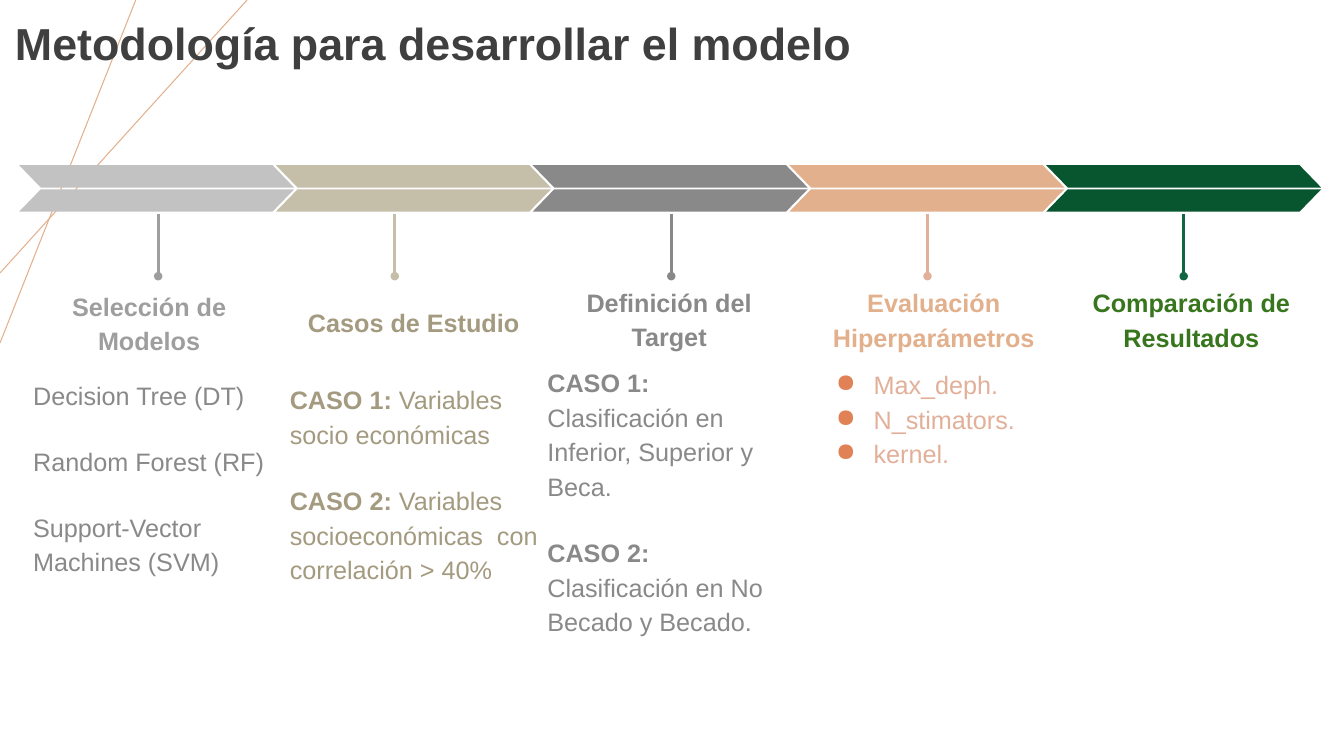
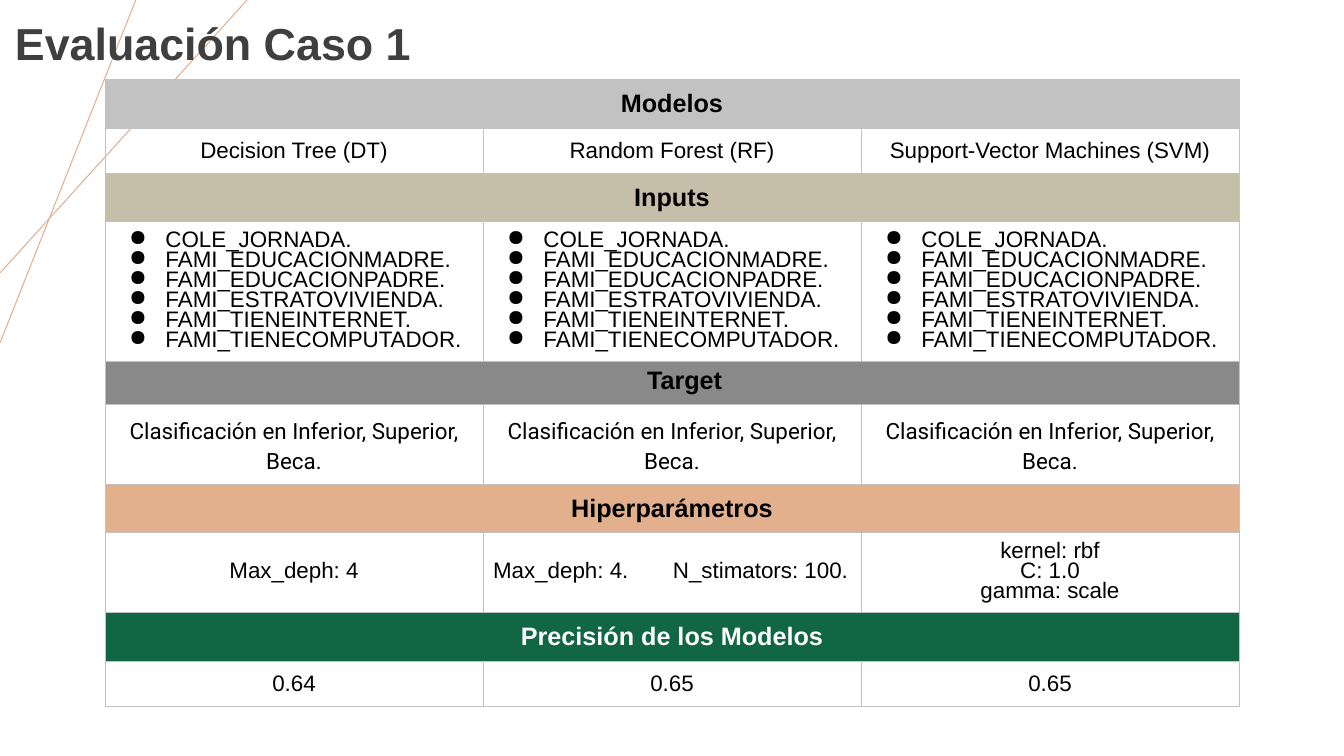
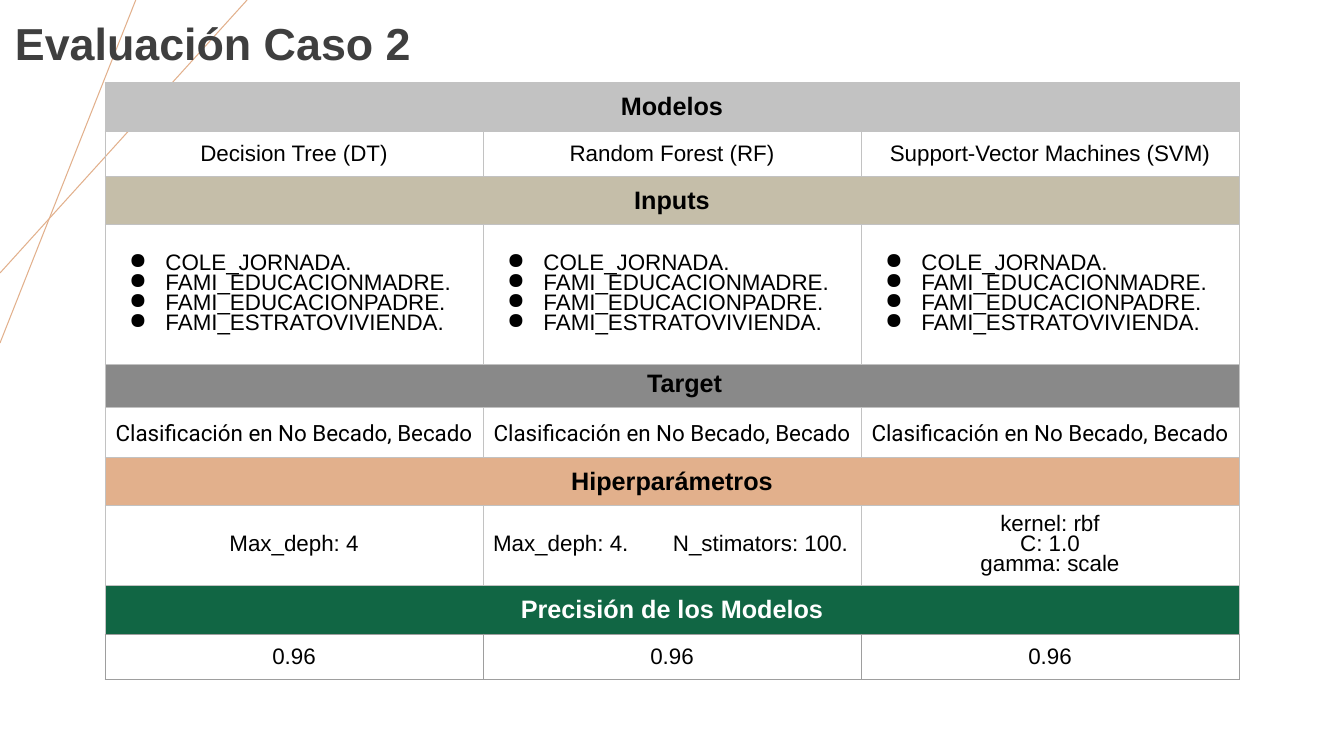
from lxml import etree
from pptx import Presentation
from pptx.dml.color import RGBColor as RGB
from pptx.enum.shapes import MSO_CONNECTOR as LINK, MSO_SHAPE as SHAPE
from pptx.enum.text import MSO_ANCHOR as ANCHOR, PP_ALIGN as ALIGN
from pptx.oxml.ns import qn
from pptx.util import Pt

INK = {
    "title": "3F3F3F", "black": "000000", "white": "FFFFFF", "silver": "C2C2C2",
    "ash": "9E9E9E", "gray": "898989", "sand": "C5BEA9", "olive": "A39A7F",
    "peach": "E2B08C", "rose": "E2B099", "orange": "E08256",
    "forest": "085630", "green": "116644", "leaf": "38761D",
}
FONT = "Arial"
RAYS = [((97, 0), (0, 245)), ((176.5, 0), (0, 195))]

# A paragraph is a string, or a (bold, plain) pair. Boxes are left, top, width, height.
STEPS = [
    {"name": "Selección de Modelos", "box": (28, 204.5, 157, 50),
     "arrow": "silver", "pin": ("ash", 113), "head": "ash", "ink": "gray",
     "body": (13.7, 258.5, 196.5, 194), "gap": 22.1,
     "text": ["Decision Tree (DT)", "Random Forest (RF)",
              "Support-Vector Machines (SVM)"]},
    {"name": "Casos de Estudio", "box": (197, 201.5, 197, 54),
     "arrow": "sand", "pin": ("sand", 282), "head": "olive", "ink": "olive",
     "body": (197, 261.5, 205, 192), "gap": 22.1,
     "text": [("CASO 1:", " Variables socio económicas"),
              ("CASO 2:", " Variables socioeconómicas  con correlación > 40%")]},
    {"name": "Definición del Target", "box": (397.5, 201.5, 161, 50),
     "arrow": "gray", "pin": ("gray", 479.5), "head": "gray", "ink": "gray",
     "body": (381, 249, 196.5, 218), "gap": 22.1,
     "text": [("CASO 1:", " Clasificación en Inferior, Superior y Beca."),
              ("CASO 2:", " Clasificación en No Becado y Becado.")]},
    {"name": "Evaluación Hiperparámetros", "box": (564.5, 200, 205, 54),
     "arrow": "peach", "pin": ("rose", 662.5), "head": "peach", "ink": "rose",
     "body": (578, 250.5, 176.5, 103), "gap": 0, "bullet": ("orange", 27),
     "text": ["Max_deph.", "N_stimators.", "kernel."]},
    {"name": "Comparación de Resultados", "box": (760.5, 200, 181, 54),
     "arrow": "forest", "pin": ("green", 845.5), "head": "leaf", "ink": "leaf",
     "text": []},
]

BANDS = [("Modelos", "silver"), ("Inputs", "sand"), ("Target", "gray"),
         ("Hiperparámetros", "peach"), ("Precisión de los Modelos", "green")]
MODELS = ["Decision Tree (DT)", "Random Forest (RF)", "Support-Vector Machines (SVM)"]
TUNING = ["Max_deph: 4", "Max_deph: 4.\tN_stimators: 100.",
          "kernel: rbf\nC: 1.0\ngamma: scale"]
INPUTS = ["COLE_JORNADA.", "FAMI_EDUCACIONMADRE.", "FAMI_EDUCACIONPADRE.",
          "FAMI_ESTRATOVIVIENDA.", "FAMI_TIENEINTERNET.", "FAMI_TIENECOMPUTADOR."]
CASES = [
    {"title": "Evaluación Caso 1", "top": 57, "inputs": INPUTS,
     "target": "Clasificación en Inferior, Superior, Beca.",
     "score": ["0.64", "0.65", "0.65"], "edge": "silver"},
    {"title": "Evaluación Caso 2", "top": 59, "inputs": INPUTS[:4],
     "target": "Clasificación en No Becado, Becado",
     "score": ["0.96"] * 3, "edge": "ash"},
]


def rgb(name):
    return RGB.from_string(INK[name])


def sub(node, tag, **attrs):
    return etree.SubElement(node, qn(tag), attrs)


def style(para, size, ink, bold=False, font=FONT, align=ALIGN.LEFT, space=None):
    para.alignment = align
    if space:
        para.line_spacing = space
    for run in para.runs:
        run.font.size, run.font.name, run.font.bold = Pt(size), font, bold
        run.font.color.rgb = rgb(ink)


def indent(para, left, hang):
    props = para._p.get_or_add_pPr()
    props.set("marL", str(Pt(left)))
    props.set("indent", str(-Pt(hang)))
    return props


def bullet(para, ink, hang):
    props = indent(para, 36, hang)
    sub(sub(props, "a:buClr"), "a:srgbClr", val=INK[ink])
    sub(props, "a:buChar", char="●")


def tab(para, pos):
    stops = sub(para._p.get_or_add_pPr(), "a:tabLst")
    sub(stops, "a:tab", pos=str(Pt(pos)), algn="l")


def inset(item, side, end):
    item.margin_left = item.margin_right = Pt(side)
    item.margin_top = item.margin_bottom = Pt(end)


def textbox(slide, box, side, end, anchor=ANCHOR.MIDDLE):
    frame = slide.shapes.add_textbox(*map(Pt, box)).text_frame
    frame.word_wrap, frame.vertical_anchor = True, anchor
    inset(frame, side, end)
    return frame


def line(slide, start, end, ink, width):
    link = slide.shapes.add_connector(LINK.STRAIGHT, *map(Pt, start + end))
    link.line.color.rgb, link.line.width = rgb(ink), Pt(width)
    sub(link._element.spPr, "a:effectLst")
    return link


def start(deck):
    slide = deck.slides.add_slide(deck.slide_layouts[6])
    for ray in RAYS:
        line(slide, *ray, "peach", 0.75)
    return slide


def title(slide, text):
    frame = textbox(slide, (3.6, 5.8, 625, 54), 7.2, 3.6)
    frame.text = text
    style(frame.paragraphs[0], 32, "title", True, space=0.9)


def arrow(slide, left, ink):
    """Two mirrored parallelograms form one chevron."""
    for top, flip in ((118, "1"), (135.2, "0")):
        half = slide.shapes.add_shape(
            SHAPE.PARALLELOGRAM, Pt(left), Pt(top), Pt(196.5), Pt(16))
        half.adjustments[0] = 0.97
        half.shadow.inherit = False
        half.fill.solid()
        half.fill.fore_color.rgb = rgb(ink)
        half.line.fill.background()
        half._element.spPr.find(qn("a:xfrm")).set("flipH", flip)


def pin(slide, ink, x):
    link = line(slide, (x, 197.3), (x, 152.6), ink, 2)
    sub(link.line._get_or_add_ln(), "a:headEnd", type="oval")


def body(slide, step):
    frame = textbox(slide, step["body"], 10, 10, ANCHOR.TOP)
    for i, text in enumerate(step["text"]):
        para = frame.add_paragraph() if i else frame.paragraphs[0]
        strong, plain = text if isinstance(text, tuple) else ("", text)
        if "bullet" in step:
            bullet(para, *step["bullet"])
        for part in filter(None, (strong, plain)):
            para.add_run().text = part
        style(para, 18, step["ink"], space=1.15)
        if strong:
            para.runs[0].font.bold = True
        if i and step["gap"]:
            para.space_before = Pt(step["gap"])


def method(deck):
    slide = start(deck)
    title(slide, "Metodología para desarrollar el modelo")
    for i, step in enumerate(STEPS):
        arrow(slide, 13.7 + 183.4 * i, step["arrow"])
        pin(slide, *step["pin"])
        frame = textbox(slide, step["box"], 10, 10)
        frame.text = step["name"]
        style(frame.paragraphs[0], 18, step["head"], True,
              align=ALIGN.CENTER, space=1.15)
        if step["text"]:
            body(slide, step)


def border(cell, ink):
    props = cell._tc.get_or_add_tcPr()
    for i, side in enumerate("LRTB"):
        edge = etree.Element(qn(f"a:ln{side}"), w=str(Pt(0.75)))
        sub(sub(edge, "a:solidFill"), "a:srgbClr", val=INK[ink])
        props.insert(i, edge)


def band(row, text, ink):
    row[0].merge(row[-1])
    for cell in row:
        cell.fill.solid()
        cell.fill.fore_color.rgb = rgb(ink)
    row[0].text = text
    para = row[0].text_frame.paragraphs[0]
    target = text == "Target"
    if target:
        indent(para, 36, 18)
    style(para, 18, "white" if ink == "green" else "black", True,
          align=ALIGN.CENTER, space=0.8 if target else None)


def fill(cell, text, kind):
    cell.fill.background()
    cell.text = text
    font = "Roboto" if kind == "Target" else FONT
    space = {"Inputs": 0.8, "Target": 1.15, "Hiperparámetros": 0.8}.get(kind)
    for para in cell.text_frame.paragraphs:
        align = ALIGN.CENTER
        if kind == "Inputs":
            align = ALIGN.LEFT
            bullet(para, "black", 26)
        elif "\t" in text:
            align = ALIGN.LEFT
            tab(para, 128.5)
        style(para, 16, "black", font=font, align=align, space=space)


def result(deck, case):
    slide = start(deck)
    rows = [MODELS, ["\n".join(case["inputs"])] * 3, [case["target"]] * 3,
            TUNING, case["score"]]
    grid = slide.shapes.add_table(
        2 * len(rows), 3, Pt(75), Pt(case["top"]), Pt(810), Pt(370)).table
    grid.first_row = grid.horz_banding = False
    for i, row in enumerate(grid.rows):
        row.height = Pt(100 if i == 3 else 30)
        cells = list(row.cells)
        name, ink = BANDS[i // 2]
        if i % 2 == 0:
            band(cells, name, ink)
        else:
            for cell, text in zip(cells, rows[i // 2]):
                fill(cell, text, name)
        for cell in cells:
            cell.vertical_anchor = ANCHOR.MIDDLE
            inset(cell, 7.2, 7.2)
            border(cell, case["edge"] if i == 9 else "silver")
    title(slide, case["title"])


def main():
    deck = Presentation()
    deck.slide_width, deck.slide_height = Pt(960), Pt(540)
    method(deck)
    for case in CASES:
        result(deck, case)
    deck.save("out.pptx")


if __name__ == "__main__":
    main()
